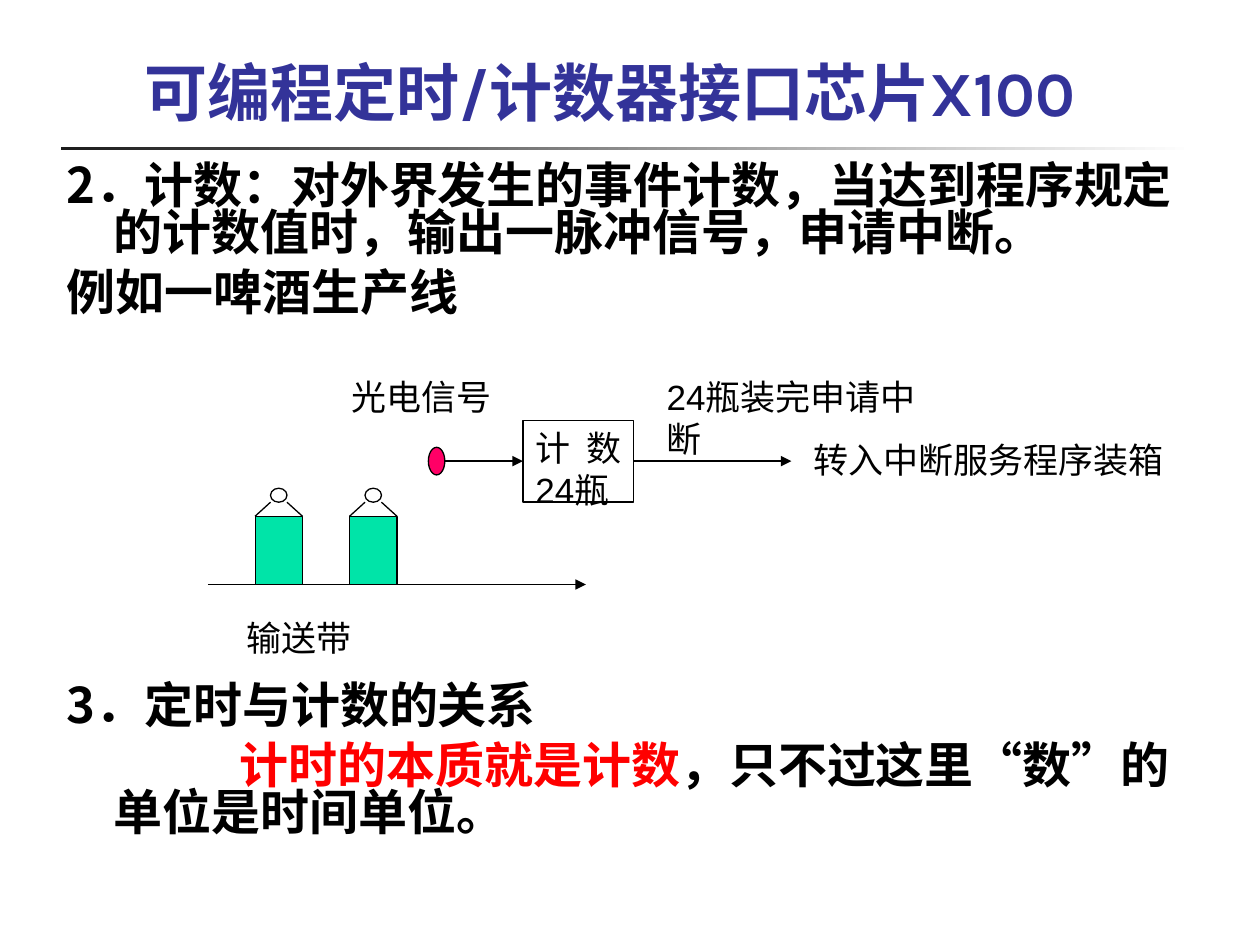
from dataclasses import dataclass

from lxml import etree
from pptx import Presentation
from pptx.dml.color import RGBColor
from pptx.enum.shapes import MSO_CONNECTOR, MSO_SHAPE
from pptx.enum.text import MSO_ANCHOR, PP_ALIGN
from pptx.oxml.ns import qn
from pptx.util import Pt

RECTANGLE, ELLIPSE = MSO_SHAPE.RECTANGLE, MSO_SHAPE.OVAL
STRAIGHT = MSO_CONNECTOR.STRAIGHT
TOP, MIDDLE = MSO_ANCHOR.TOP, MSO_ANCHOR.MIDDLE
JUSTIFY = PP_ALIGN.JUSTIFY


@dataclass(frozen=True)
class Theme:
    ink: str = "000000"
    title: str = "333399"
    accent: str = "FF0000"
    bottle: str = "00E4A8"
    sensor: str = "FF0066"
    paper: str = "FFFFFF"
    rule_start: str = "1C1C1C"
    title_font: str = "Karla"
    body_font: str = "Noto Sans CJK SC"
    label_font: str = "Arial"
    title_size: float = 36
    body_size: float = 28
    label_size: float = 20
    line_width: float = 0.75


THEME = Theme()
TITLE_STYLE = {"name": THEME.title_font, "size": Pt(THEME.title_size), "bold": True}
BODY_STYLE = {"name": THEME.body_font, "size": Pt(THEME.body_size), "bold": True}
LABEL_STYLE = {"name": THEME.label_font, "size": Pt(THEME.label_size), "bold": False}
HANGING = {"marL": Pt(27), "indent": Pt(-27)}
FIRST_LINE = {"marL": Pt(27), "indent": Pt(72)}


def rgb(value):
    return RGBColor.from_string(value)


def add_span(para, text, style, color):
    span = para.add_run()
    span.text = text
    for name, value in style.items():
        setattr(span.font, name, value)
    span.font.color.rgb = rgb(color)
    east_asian = etree.SubElement(span.font._element, qn("a:ea"))
    east_asian.set("typeface", THEME.body_font)


def add_text(page, box, text, style, color=THEME.ink, anchor=TOP):
    frame = page.shapes.add_textbox(*map(Pt, box)).text_frame
    frame.word_wrap = True
    frame.vertical_anchor = anchor
    add_span(frame.paragraphs[0], text, style, color)


def add_outlined(page, kind, box, fill):
    shape = page.shapes.add_shape(kind, *map(Pt, box))
    shape.shadow.inherit = False
    shape.fill.solid()
    shape.fill.fore_color.rgb = rgb(fill)
    shape.line.color.rgb = rgb(THEME.ink)
    shape.line.width = Pt(THEME.line_width)
    return shape


def add_line(page, start, end, arrow=False):
    line = page.shapes.add_connector(STRAIGHT, *map(Pt, (*start, *end)))
    line.line.color.rgb = rgb(THEME.ink)
    line.line.width = Pt(THEME.line_width)
    if arrow:
        etree.SubElement(line.line._get_or_add_ln(), qn("a:tailEnd"), type="triangle")
    etree.SubElement(line._element.spPr, qn("a:effectLst"))


def add_header(page, box):
    left, top, width, height = box
    # Fading rule under the title
    rule = page.shapes.add_shape(RECTANGLE, *map(Pt, (left, top + height - 2.2, width, 2.2)))
    rule.shadow.inherit = False
    rule.line.fill.background()
    rule.fill.gradient()
    rule.fill.gradient_angle = 0
    for stop, color in zip(rule.fill.gradient_stops, (THEME.rule_start, THEME.paper)):
        stop.color.rgb = rgb(color)
    # Title
    add_text(page, (left + 41, top, 629, 72), "可编程定时/计数器接口芯片X100",
             TITLE_STYLE, THEME.title, MIDDLE)


def add_body(page, box, paragraphs):
    frame = page.shapes.add_textbox(*map(Pt, box)).text_frame
    frame.word_wrap = True
    for index, (indents, spans) in enumerate(paragraphs):
        para = frame.add_paragraph() if index else frame.paragraphs[0]
        para.line_spacing = 0.8
        para.space_before = Pt(7 if index else 0)
        for name, value in indents.items():
            para._element.get_or_add_pPr().set(name, str(value))
        for text, color in spans:
            add_span(para, text, BODY_STYLE, color)


def add_bottle(page, box):
    left, top, width, height = box
    cap_width, cap_height, neck = 9.4, 8, 8
    cap_left = left + (width - cap_width) / 2
    cap_bottom, shoulder = top + cap_height, top + cap_height + neck
    add_outlined(page, ELLIPSE, (cap_left, top, cap_width, cap_height), THEME.paper)
    add_outlined(page, RECTANGLE, (left, shoulder, width, height - cap_height - neck),
                 THEME.bottle)
    add_line(page, (cap_left, cap_bottom), (left, shoulder))
    add_line(page, (cap_left + cap_width, cap_bottom), (left + width, shoulder))


def add_production_line(page, box):
    left, top, _, _ = box
    signal_y, belt_y = top + 52.5, top + 123
    sensor_left, sensor_width, sensor_height = left + 126, 9.4, 15.8
    counter_left, counter_width, counter_height = left + 180, 63.3, 46.8

    # Signal path and conveyor belt
    add_line(page, (sensor_left + sensor_width, signal_y), (counter_left, signal_y), True)
    add_line(page, (counter_left + counter_width, signal_y), (left + 333.4, signal_y), True)
    add_line(page, (left, belt_y), (left + 216, belt_y), True)

    # Bottles on the belt
    bottle_height, pitch = 55, 54
    for index in range(2):
        add_bottle(page, (left + 27 + index * pitch, belt_y - bottle_height,
                          27, bottle_height))

    # Counter and sensor
    counter = add_outlined(page, RECTANGLE,
                           (counter_left, signal_y - counter_height / 2,
                            counter_width, counter_height), THEME.paper)
    counter.text_frame.word_wrap = True
    counter.text_frame.vertical_anchor = TOP
    para = counter.text_frame.paragraphs[0]
    para.alignment = JUSTIFY
    add_span(para, "计数24瓶", LABEL_STYLE, THEME.ink)
    add_outlined(page, ELLIPSE, (sensor_left, signal_y - sensor_height / 2,
                                 sensor_width, sensor_height), THEME.sensor)

    # Labels
    for x, y, width, height, text in (
        (75, 0, 102, 32, "光电信号"),
        (255, 0, 162, 55, "24瓶装完申请中断"),
        (339, 36, 216, 32, "转入中断服务程序装箱"),
        (15, 138, 180, 32, "输送带"),
    ):
        add_text(page, (left + x, top + y, width, height), text, LABEL_STYLE)


def main():
    deck = Presentation()
    deck.slide_width, deck.slide_height = Pt(720), Pt(540)
    page = deck.slides.add_slide(deck.slide_layouts[6])
    add_header(page, (34.6, 16, 648, 70))
    add_body(page, (31, 91.4, 665, 130), [
        (HANGING, [("2．计数：对外界发生的事件计数，当达到程序规定的计数值时，"
                    "输出一脉冲信号，申请中断。", THEME.ink)]),
        (HANGING, [("例如一啤酒生产线", THEME.ink)]),
    ])
    add_production_line(page, (118.8, 211, 555, 170))
    add_body(page, (31, 388.6, 665, 97), [
        (HANGING, [("3．定时与计数的关系", THEME.ink)]),
        (FIRST_LINE, [("计时的本质就是计数", THEME.accent),
                      ("，只不过这里“数”的单位是时间单位。", THEME.ink)]),
    ])
    deck.save("out.pptx")


if __name__ == "__main__":
    main()
